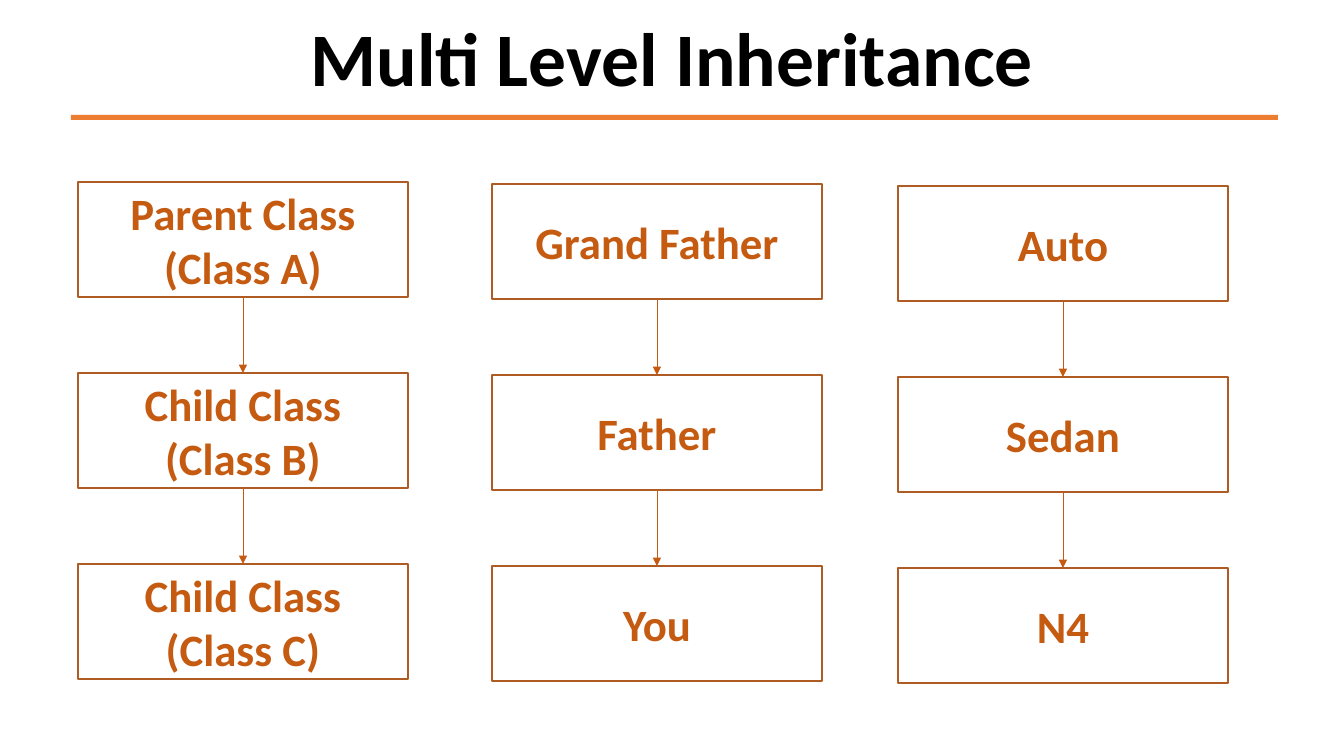
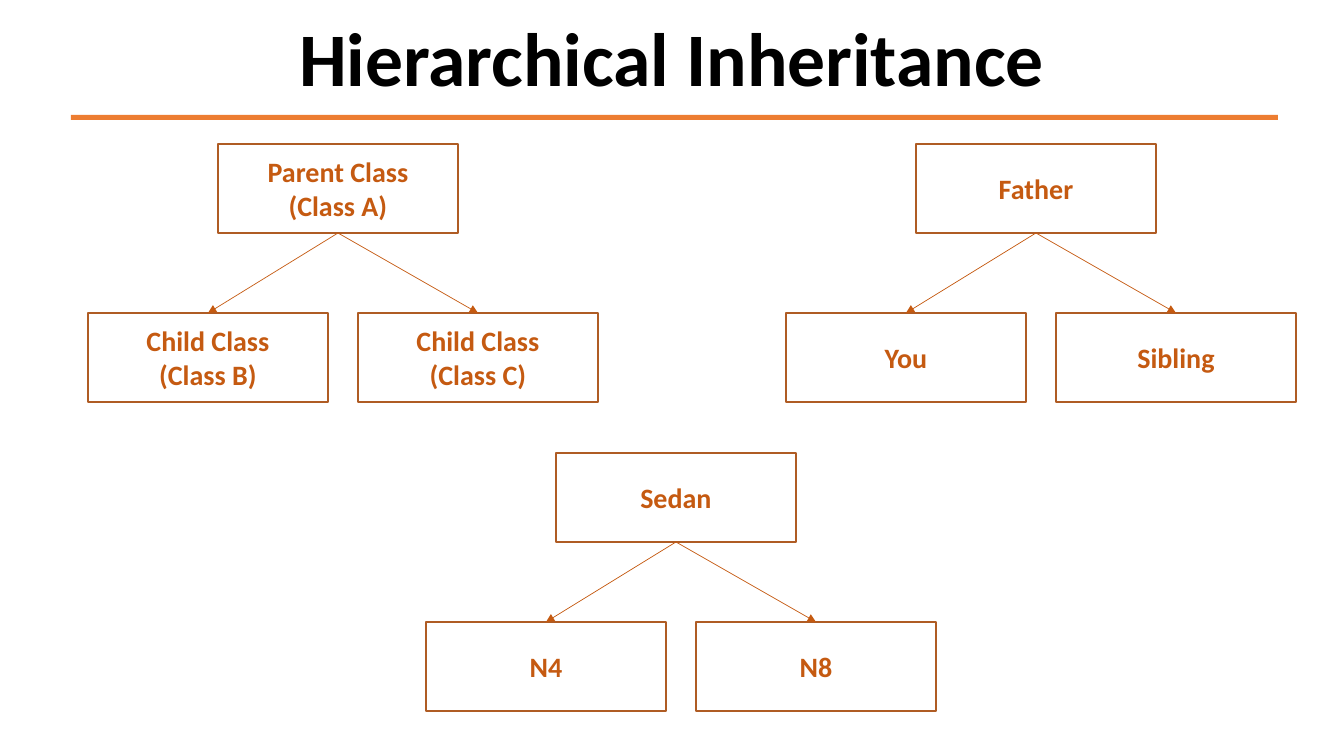
from lxml.etree import SubElement
from pptx import Presentation
from pptx.dml.color import RGBColor
from pptx.enum.shapes import MSO_CONNECTOR, MSO_SHAPE
from pptx.enum.text import MSO_ANCHOR, MSO_AUTO_SIZE, PP_ALIGN
from pptx.oxml.ns import qn
from pptx.util import Pt

EMU_PER_PX = 914400 / 100.8
FONT = "Calibri"
COLORS = {
    "title": "000000",
    "rule": "ED7D31",
    "box": "FFFFFF",
    "border": "AF5C24",
    "accent": "C55A11",
}
TOP, BOTTOM = 0, 2

CHAINS = [
    (78, 182, ["Parent Class\n(Class A)", "Child Class\n(Class B)", "Child Class\n(Class C)"]),
    (492, 184, ["Grand Father", "Father", "You"]),
    (898, 186, ["Auto", "Sedan", "N4"]),
]
TREES = [
    (88, 144, "Parent Class\n(Class A)", ["Child Class\n(Class B)", "Child Class\n(Class C)"]),
    (786, 144, "Father", ["You", "Sibling"]),
    (426, 453, "Sedan", ["N4", "N8"]),
]


def px(*lengths):
    """Turn pixel lengths into a list of EMU."""
    return [round(length * EMU_PER_PX) for length in lengths]


def color(name):
    """Return a named colour of the palette."""
    return RGBColor.from_string(COLORS[name])


def style_text(text_frame, text, size, color_name):
    """Write centred bold text, one paragraph for each line."""
    text_frame.text = text
    text_frame.word_wrap = True
    text_frame.auto_size = MSO_AUTO_SIZE.NONE
    text_frame.vertical_anchor = MSO_ANCHOR.MIDDLE
    for paragraph in text_frame.paragraphs:
        paragraph.alignment = PP_ALIGN.CENTER
        paragraph.font.name = FONT
        paragraph.font.size = Pt(size)
        paragraph.font.bold = True
        paragraph.font.color.rgb = color(color_name)


def add_rectangle(slide, left, top, width, height, fill, border=None):
    """Add a flat rectangle, outlined if a border colour is named."""
    shape = slide.shapes.add_shape(MSO_SHAPE.RECTANGLE, *px(left, top, width, height))
    shape.shadow.inherit = False
    shape.fill.solid()
    shape.fill.fore_color.rgb = color(fill)
    if border:
        shape.line.color.rgb = color(border)
        shape.line.width = Pt(1)
    else:
        shape.line.fill.background()
    return shape


def add_class_box(slide, left, top, width, height, text, size):
    """Add an outlined box holding the name of a class."""
    shape = add_rectangle(slide, left, top, width, height, "box", "border")
    style_text(shape.text_frame, text, size, "accent")
    return shape


def add_arrow(slide, parent, child):
    """Join the bottom of the parent to the top of the child."""
    connector = slide.shapes.add_connector(MSO_CONNECTOR.STRAIGHT, 0, 0, 0, 0)
    connector.begin_connect(parent, BOTTOM)
    connector.end_connect(child, TOP)
    connector.line.color.rgb = color("accent")
    connector.line.width = Pt(0.5)
    properties = connector.element.spPr
    SubElement(properties.find(qn("a:ln")), qn("a:tailEnd"), type="triangle")
    SubElement(properties, qn("a:effectLst"))


def add_titled_slide(presentation, title):
    """Add a slide with its title and the rule under it."""
    slide = presentation.slides.add_slide(presentation.slide_layouts[5])
    heading = slide.shapes.title
    heading.left, heading.top, heading.width, heading.height = px(116, 0, 1112, 125)
    style_text(heading.text_frame, title, 54, "title")
    heading.text_frame.paragraphs[0].line_spacing = 0.9
    add_rectangle(slide, 71, 115, 1207, 5, "rule")
    return slide


def add_chain(slide, left, top, names):
    """Stack class boxes downwards, each joined to the next."""
    width, height, gap = 330, 115, 76
    boxes = [
        add_class_box(slide, left, top + level * (height + gap), width, height, name, 32)
        for level, name in enumerate(names)
    ]
    for parent, child in zip(boxes, boxes[1:]):
        add_arrow(slide, parent, child)


def add_tree(slide, left, top, parent_name, child_names):
    """Place a parent box above a row of its children."""
    width, height, column_gap, row_gap = 240, 89, 30, 80
    parent = add_class_box(slide, left + 130, top, width, height, parent_name, 20)
    for column, name in enumerate(child_names):
        child_left = left + column * (width + column_gap)
        child = add_class_box(slide, child_left, top + height + row_gap, width, height, name, 20)
        add_arrow(slide, parent, child)


def main():
    """Build both slides and save them."""
    presentation = Presentation()
    presentation.slide_width, presentation.slide_height = px(1344, 756)
    multi_level = add_titled_slide(presentation, "Multi Level Inheritance")
    for chain in CHAINS:
        add_chain(multi_level, *chain)
    hierarchical = add_titled_slide(presentation, "Hierarchical Inheritance")
    for tree in TREES:
        add_tree(hierarchical, *tree)
    presentation.save("out.pptx")


if __name__ == "__main__":
    main()
